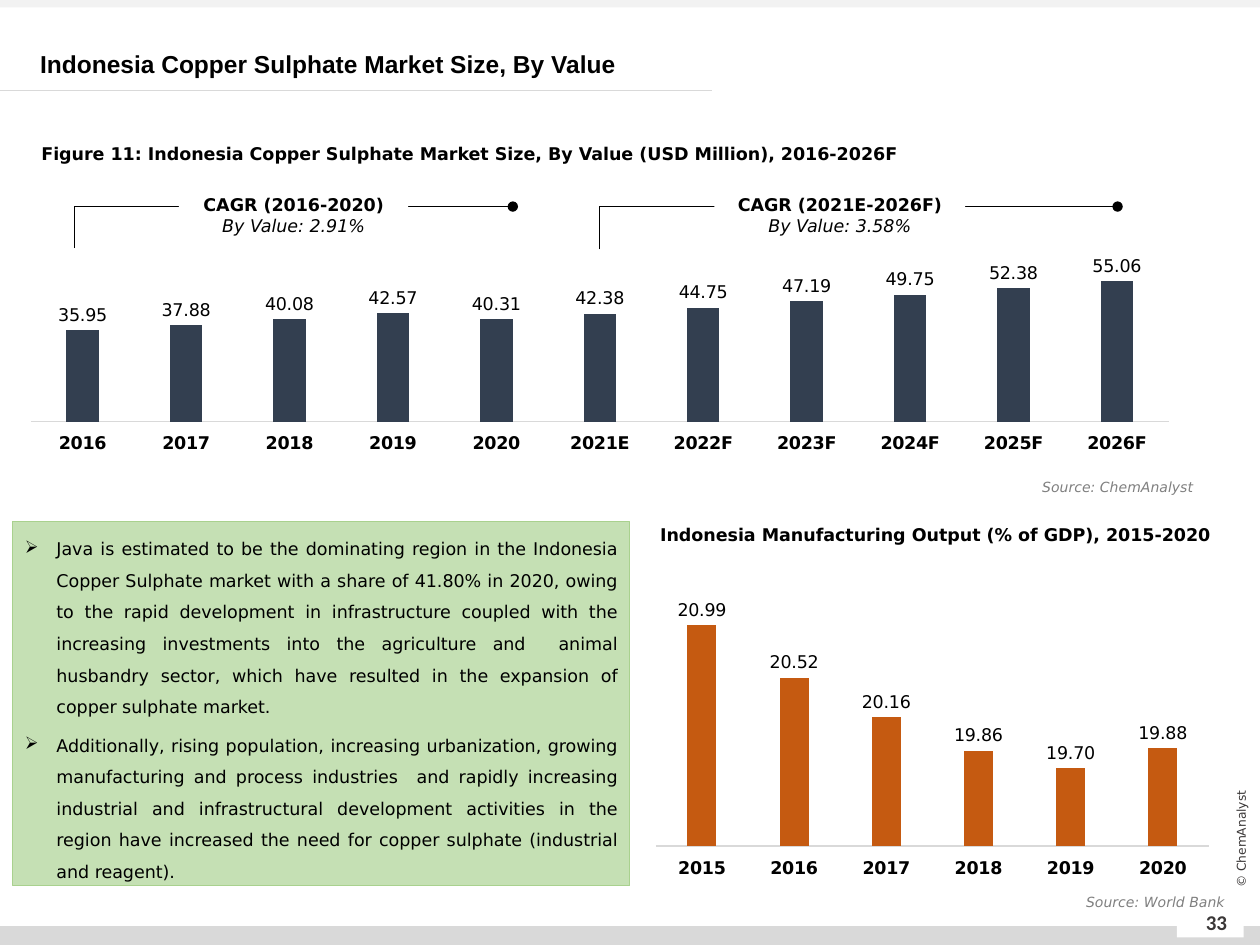
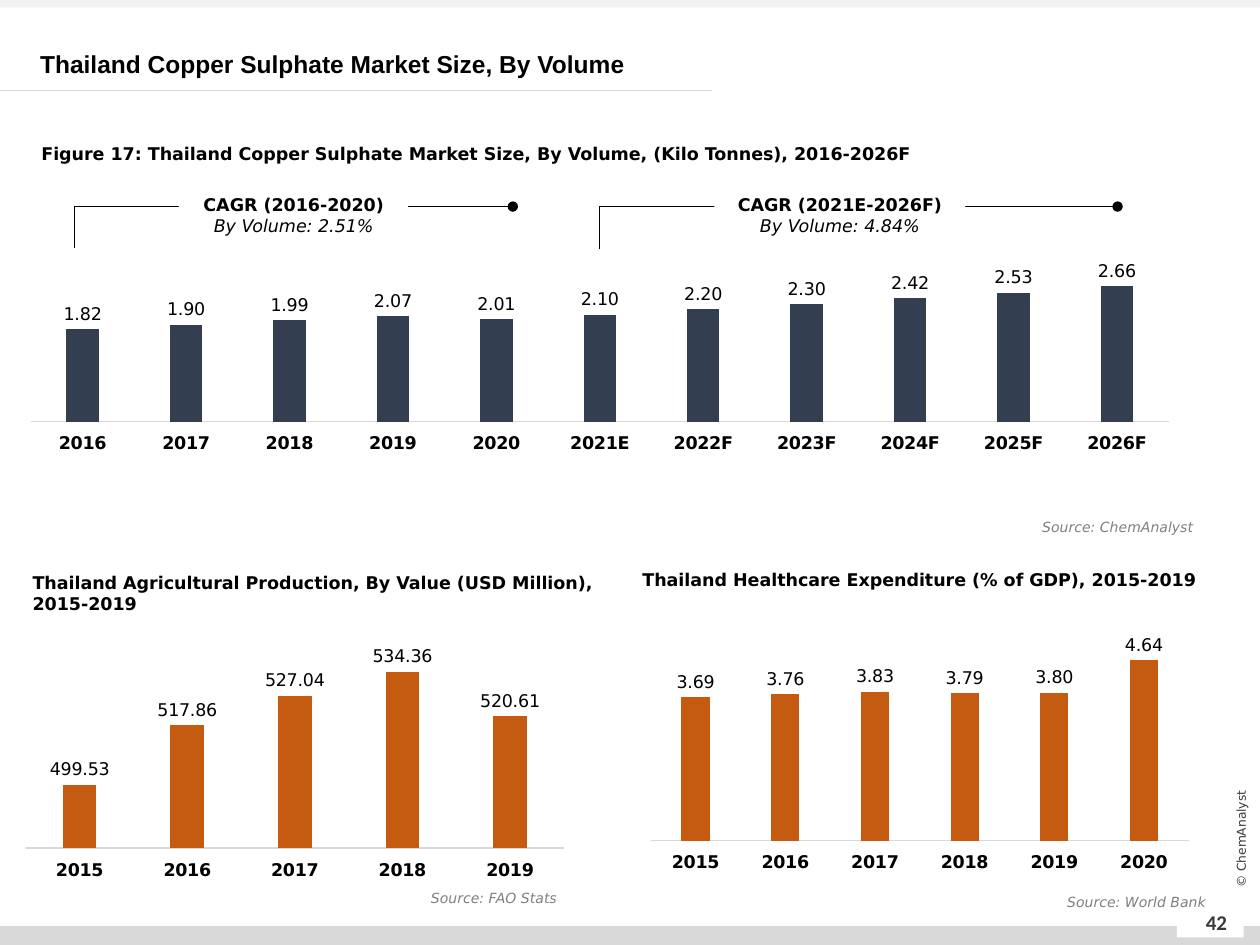
from dataclasses import dataclass

from lxml.etree import SubElement
from pptx import Presentation
from pptx.chart.data import CategoryChartData
from pptx.dml.color import RGBColor
from pptx.enum.chart import XL_CHART_TYPE as ChartType
from pptx.enum.chart import XL_LABEL_POSITION as LabelPosition
from pptx.enum.chart import XL_TICK_LABEL_POSITION as TickLabelPosition
from pptx.enum.chart import XL_TICK_MARK as TickMark
from pptx.enum.shapes import MSO_CONNECTOR as Connector
from pptx.enum.shapes import MSO_SHAPE as Shape
from pptx.enum.text import MSO_ANCHOR as Anchor
from pptx.enum.text import PP_ALIGN as Align
from pptx.oxml.ns import qn
from pptx.util import Inches, Pt


@dataclass(frozen=True)
class Theme:
    ink: str = "000000"
    muted: str = "808080"
    footer: str = "3B3838"
    paper: str = "FFFFFF"
    top_band: str = "F2F2F2"
    rule: str = "D9D9D9"
    market: str = "333F50"
    driver: str = "C55A11"
    note: str = "C5E0B4"
    note_edge: str = "A9D18E"
    body_font: str = "DejaVu Sans"
    title_font: str = "Arial"
    number_font: str = "Calibri"
    title_size: int = 14
    number_size: int = 12
    body_size: int = 10
    source_size: int = 8
    copyright_size: int = 7
    thin: float = 0.5
    axis: float = 0.75


def color(code):
    return RGBColor.from_string(code)


def inches(box):
    return [Inches(value) for value in box]


class Report:
    def __init__(self, theme):
        self.theme = theme
        self.presentation = Presentation()
        self.presentation.slide_width = Inches(10)
        self.presentation.slide_height = Inches(7.5)
        self.slide = None

    def start_slide(self, title, page):
        theme = self.theme
        self.slide = self.presentation.slides.add_slide(self.presentation.slide_layouts[6])
        self.rectangle((0, 7.35, 10, 0.15), theme.rule)
        self.rectangle((0, 0, 10, 0.06), theme.top_band)
        self.rectangle((9.34, 7.22, 0.53, 0.22), theme.paper)
        self.line(Connector.STRAIGHT, (0, 0.72, 5.65, 0.72), theme.rule)
        self.text((9.41, 7.12, 0.49, 0.4), page, size=theme.number_size, font=theme.number_font,
                  ink=theme.footer, bold=True, align=Align.CENTER, anchor=Anchor.MIDDLE)
        copyright_line = self.text((9.25, 6.58, 1.2, 0.16), "© ChemAnalyst",
                                   size=theme.copyright_size, ink=theme.footer,
                                   align=Align.CENTER, anchor=Anchor.MIDDLE)
        copyright_line.rotation = 270
        self.text((0.22, 0.34, 9.76, 0.32), title, size=theme.title_size, font=theme.title_font,
                  bold=True, anchor=Anchor.MIDDLE, spacing=Pt(17))

    def rectangle(self, box, fill, edge=None):
        shape = self.slide.shapes.add_shape(Shape.RECTANGLE, *inches(box))
        shape.shadow.inherit = False
        shape.fill.solid()
        shape.fill.fore_color.rgb = color(fill)
        if edge:
            shape.line.color.rgb = color(edge)
            shape.line.width = Pt(self.theme.thin)
        else:
            shape.line.fill.background()
        return shape

    def line(self, kind, ends, ink):
        connector = self.slide.shapes.add_connector(kind, *inches(ends))
        connector.line.color.rgb = color(ink)
        connector.line.width = Pt(self.theme.thin)
        SubElement(connector._element.spPr, qn("a:effectLst"))
        return connector

    def style(self, paragraph, size=None, font=None, ink=None, bold=False, italic=False,
              align=Align.LEFT, spacing=None):
        paragraph.alignment = align
        if spacing:
            paragraph.line_spacing = spacing
        for run in paragraph.runs:
            run.font.size = Pt(size or self.theme.body_size)
            run.font.name = font or self.theme.body_font
            run.font.color.rgb = color(ink or self.theme.ink)
            run.font.bold = bold
            run.font.italic = italic

    def text(self, box, words, anchor=Anchor.TOP, **style):
        shape = self.slide.shapes.add_textbox(*inches(box))
        frame = shape.text_frame
        frame.word_wrap = True
        frame.vertical_anchor = anchor
        frame.text = words
        self.style(frame.paragraphs[0], **style)
        return shape

    def heading(self, left, top, words, height=0.27):
        self.text((left, top, 5.01, height), words, bold=True)

    def source(self, box, name):
        self.text(box, f"Source: {name}", size=self.theme.source_size, ink=self.theme.muted,
                  italic=True, align=Align.RIGHT)

    def growth(self, ends, box, period, rate):
        bracket = self.line(Connector.ELBOW, ends, self.theme.ink)
        geometry = bracket._element.spPr.find(qn("a:prstGeom"))
        adjustments = geometry.find(qn("a:avLst"))
        SubElement(adjustments, qn("a:gd"), name="adj1", fmla="val 0")
        SubElement(bracket.line._get_or_add_ln(), qn("a:tailEnd"), type="oval")
        frame = self.rectangle(box, self.theme.paper).text_frame
        frame.text = f"CAGR ({period})\n{rate}"
        frame.vertical_anchor = Anchor.MIDDLE
        heading, value = frame.paragraphs
        self.style(heading, bold=True, align=Align.CENTER)
        self.style(value, italic=True, align=Align.CENTER)

    def bullets(self, box, items):
        frame = self.rectangle(box, self.theme.note, self.theme.note_edge).text_frame
        frame.vertical_anchor = Anchor.TOP
        frame.text = "\n".join(items)
        for index, paragraph in enumerate(frame.paragraphs):
            self.style(paragraph, align=Align.JUSTIFY, spacing=1.5)
            if index:
                paragraph.space_before = Pt(4)
            properties = paragraph._p.get_or_add_pPr()
            properties.set("marL", str(Inches(0.25)))
            properties.set("indent", str(-Inches(0.25)))
            SubElement(properties, qn("a:buChar"), char="➢")

    def columns(self, box, categories, values, fill, scale, plot_top, plot_height):
        theme = self.theme
        data = CategoryChartData(number_format="0.00")
        data.categories = categories
        data.add_series("Series 1", values)
        chart = self.slide.shapes.add_chart(ChartType.COLUMN_CLUSTERED, *inches(box), data).chart
        chart.has_title = False
        chart.has_legend = False
        chart.font.size = Pt(theme.body_size)
        chart.font.name = theme.body_font
        chart.font.color.rgb = color(theme.ink)

        value_axis = chart.value_axis
        value_axis.minimum_scale, value_axis.maximum_scale = scale
        value_axis.has_major_gridlines = False
        value_axis.visible = False
        category_axis = chart.category_axis
        category_axis.major_tick_mark = TickMark.NONE
        category_axis.tick_label_position = TickLabelPosition.LOW
        category_axis.tick_labels.font.bold = True
        category_axis.tick_labels.font.size = Pt(theme.body_size)
        category_axis.format.line.color.rgb = color(theme.rule)
        category_axis.format.line.width = Pt(theme.axis)

        plot = chart.plots[0]
        plot.vary_by_categories = False
        plot.gap_width = 219
        plot.overlap = -27
        plot.series[0].format.fill.solid()
        plot.series[0].format.fill.fore_color.rgb = color(fill)
        plot.has_data_labels = True
        labels = plot.data_labels
        labels.show_value = True
        labels.position = LabelPosition.OUTSIDE_END
        labels.number_format = "0.00"
        labels.number_format_is_linked = False
        labels.font.size = Pt(theme.body_size)
        labels.font.color.rgb = color(theme.ink)
        self.place_plot(chart, plot_top, plot_height)

    def place_plot(self, chart, top, height):
        area = chart._chartSpace.chart.plotArea
        for layout in area.findall(qn("c:layout")):
            area.remove(layout)
        layout = SubElement(area, qn("c:layout"))
        area.insert(0, layout)
        manual = SubElement(layout, qn("c:manualLayout"))
        settings = dict(layoutTarget="inner", xMode="edge", yMode="edge",
                        x=0, y=top, w=1, h=height)
        for name, value in settings.items():
            SubElement(manual, qn(f"c:{name}"), val=str(value))

    def market(self, figure, measure, past_rate, forecast_rate, values, maximum, source_top):
        years = [str(year) for year in range(2016, 2021)] + ["2021E"]
        years += [f"{year}F" for year in range(2022, 2027)]
        self.columns((0.24, 1.8, 9.04, 2.08), years, values, self.theme.market,
                     (0, maximum), 0.16, 0.584)
        self.growth((4.76, 1.98, 8.87, 1.64), (5.67, 1.42, 1.99, 0.57),
                    "2021E-2026F", f"By {measure}: {forecast_rate}")
        self.growth((0.59, 1.97, 4.07, 1.64), (1.42, 1.42, 1.82, 0.57),
                    "2016-2020", f"By {measure}: {past_rate}")
        self.text((0.23, 1, 8.82, 0.32), figure, bold=True, spacing=1.5)
        self.source((7.16, source_top, 2.41, 0.24), "ChemAnalyst")

    def driver(self, box, values, scale, plot_top, plot_height):
        years = [str(2015 + index) for index in range(len(values))]
        self.columns(box, years, values, self.theme.driver, scale, plot_top, plot_height)


def indonesia(report):
    report.start_slide("Indonesia Copper Sulphate Market Size, By Value", "33")
    report.market(
        "Figure 11: Indonesia Copper Sulphate Market Size, By Value (USD Million), 2016-2026F",
        "Value", "2.91%", "3.58%",
        [35.95, 37.88, 40.08, 42.57, 40.31, 42.38, 44.75, 47.19, 49.75, 52.38, 55.06],
        maximum=60, source_top=3.75)
    report.bullets((0.1, 4.14, 4.9, 2.89), [
        "Java is estimated to be the dominating region in the Indonesia Copper Sulphate market "
        "with a share of 41.80% in 2020, owing to the rapid development in infrastructure "
        "coupled with the increasing investments into the agriculture and  animal husbandry "
        "sector, which have resulted in the expansion of copper sulphate market.",
        "Additionally, rising population, increasing urbanization, growing manufacturing and "
        "process industries  and rapidly increasing industrial and infrastructural development "
        "activities in the region have increased the need for copper sulphate (industrial and "
        "reagent).",
    ])
    report.driver((5.2, 4.43, 4.4, 2.62), [20.99, 20.52, 20.16, 19.86, 19.70, 19.88],
                  (19, 21.5), 0.033, 0.839)
    report.heading(5.14, 4.11, "Indonesia Manufacturing Output (% of GDP), 2015-2020")
    report.source((7.26, 7.04, 2.56, 0.24), "World Bank")


def thailand(report):
    report.start_slide("Thailand Copper Sulphate Market Size, By Volume", "42")
    report.market(
        "Figure 17: Thailand Copper Sulphate Market Size, By Volume, (Kilo Tonnes), 2016-2026F",
        "Volume", "2.51%", "4.84%",
        [1.82, 1.90, 1.99, 2.07, 2.01, 2.10, 2.20, 2.30, 2.42, 2.53, 2.66],
        maximum=3, source_top=4.07)
    report.driver((0.2, 4.84, 4.28, 2.17), [499.53, 517.86, 527.04, 534.36, 520.61],
                  (480, 540), 0.16, 0.712)
    report.heading(0.16, 4.49,
                   "Thailand Agricultural Production, By Value (USD Million), 2015-2019", 0.44)
    report.source((3.02, 7.01, 1.5, 0.24), "FAO Stats")
    report.driver((5.16, 4.78, 4.28, 2.17), [3.69, 3.76, 3.83, 3.79, 3.80, 4.64],
                  (0, 5), 0.16, 0.712)
    report.heading(5, 4.47, "Thailand Healthcare Expenditure (% of GDP), 2015-2019")
    report.source((7.11, 7.04, 2.56, 0.24), "World Bank")


def main():
    report = Report(Theme())
    indonesia(report)
    thailand(report)
    report.presentation.save("out.pptx")


if __name__ == "__main__":
    main()
